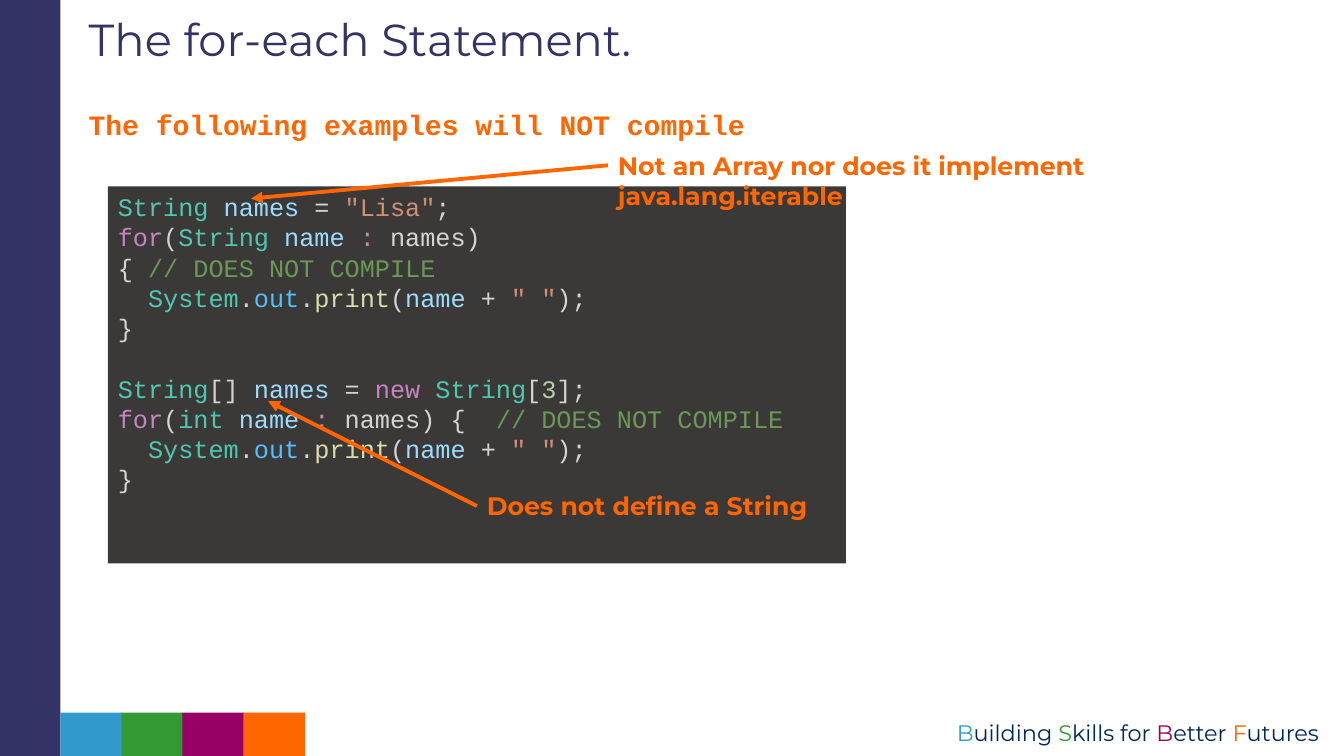
from lxml import etree
from pptx import Presentation, util as u
from pptx.dml.color import RGBColor
from pptx.enum import shapes, text
from pptx.oxml.ns import qn

NAVY, BLUE, GREEN, PURPLE, ORANGE = "333366", "3299CC", "339933", "990066", "FF6600"
INK = "002856"
SANS, MONO = "Montserrat", "Courier New"
PLAIN, TYPE, VAR, KEYWORD = "D4D4D4", "4EC9B0", "9CDCFE", "C586C0"
STRING, COMMENT, FIELD, METHOD, NUMBER = "CE9178", "6A9955", "4FC1FF", "DCDCAA", "B5CEA8"


def rgb(value):
    return RGBColor.from_string(value)


class Deck:
    def __init__(self, width, height):
        self.prs = Presentation()
        self.prs.slide_width, self.prs.slide_height = u.Inches(width), u.Inches(height)
        self.s = self.prs.slides.add_slide(self.prs.slide_layouts[5])

    def box(self, at):
        return [u.Inches(v) for v in at]

    def rect(self, at, fill):
        sp = self.s.shapes.add_shape(shapes.MSO_SHAPE.RECTANGLE, *self.box(at))
        sp.shadow.inherit = False
        sp.fill.solid()
        sp.fill.fore_color.rgb = rgb(fill)
        sp.line.fill.background()
        return sp

    def set_text(self, sp, lines, size, font, bold=False, align=text.PP_ALIGN.LEFT,
                 anchor=text.MSO_ANCHOR.TOP, spacing=None):
        tf = sp.text_frame
        tf.word_wrap = True
        tf.auto_size = text.MSO_AUTO_SIZE.NONE
        tf.vertical_anchor = anchor
        for i, runs in enumerate(lines):
            p = tf.paragraphs[0] if i == 0 else tf.add_paragraph()
            p.alignment = align
            p.line_spacing = spacing
            p.font.size, p.font.name, p.font.bold = u.Pt(size), font, bold
            for words, color in runs:
                r = p.add_run()
                r.text = words
                r.font.color.rgb = rgb(color)
        return tf

    def title(self, at, words):
        sp = self.s.shapes.title
        sp.left, sp.top, sp.width, sp.height = self.box(at)
        self.set_text(sp, [[(words, NAVY)]], 32, SANS, spacing=0.9)

    def label(self, at, runs, size=18, font=SANS, **style):
        sp = self.s.shapes.add_textbox(*self.box(at))
        return self.set_text(sp, [runs], size, font, **style)

    def arrow(self, start, end):
        cx = self.s.shapes.add_connector(shapes.MSO_CONNECTOR.STRAIGHT, *self.box(start + end))
        cx.line.color.rgb = rgb(ORANGE)
        cx.line.width = u.Pt(2.75)
        props = cx.element.spPr
        etree.SubElement(props.find(qn("a:ln")), qn("a:tailEnd"), type="triangle")
        etree.SubElement(props, qn("a:effectLst"))


deck = Deck(13.33, 7.5)
deck.rect((0, 0, 0.6, 7.5), NAVY)
for i, color in enumerate((BLUE, GREEN, PURPLE, ORANGE)):
    deck.rect((0.6 + i * 0.605, 7.07, 0.61, 0.43), color)

motto = [("B", BLUE), ("uilding ", INK), ("S", GREEN), ("kills for ", INK),
         ("B", PURPLE), ("etter ", INK), ("F", ORANGE), ("utures", INK)]
deck.label((8.36, 7.09, 4.82, 0.37), motto, 16, align=text.PP_ALIGN.RIGHT)

print_line = [("\u00a0\u00a0", PLAIN), ("System", TYPE), (".", PLAIN), ("out", FIELD),
              (".", PLAIN), ("print", METHOD), ("(", PLAIN), ("name", VAR),
              ("\u00a0+\u00a0", PLAIN), ('"\u00a0"', STRING), (");", PLAIN)]
close_line = [("}", PLAIN)]
does_not_compile = ("//\u00a0DOES\u00a0NOT\u00a0COMPILE", COMMENT)


def for_line(kind, tail):
    return [("for", KEYWORD), ("(", PLAIN), (kind + "\u00a0", TYPE),
            ("name\u00a0", VAR), (":", KEYWORD), ("\u00a0names)" + tail, PLAIN)]


string_example = [
    [("String\u00a0", TYPE), ("names", VAR), ("\u00a0=\u00a0", PLAIN),
     ('"Lisa"', STRING), (";", PLAIN)],
    for_line("String", ""),
    [("{ ", PLAIN), does_not_compile],
    print_line,
    close_line,
]
array_example = [
    [("String", TYPE), ("[]\u00a0", PLAIN), ("names", VAR), ("\u00a0=\u00a0", PLAIN),
     ("new\u00a0", KEYWORD), ("String", TYPE), ("[", PLAIN), ("3", NUMBER), ("];", PLAIN)],
    for_line("int", "\u00a0{\u00a0\u00a0") + [does_not_compile],
    print_line,
    close_line,
]
line_height = u.Pt(21.6)
panel = deck.rect((1.07, 1.85, 7.32, 3.74), "3B3838")
tf = deck.set_text(panel, string_example + array_example, 18, MONO, spacing=line_height)
tf.paragraphs[len(string_example)].space_before = line_height

tf = deck.label((0.78, 0.89, 12.39, 0.63), [("The following examples will NOT compile", ORANGE)],
                20, MONO, bold=True, anchor=text.MSO_ANCHOR.MIDDLE, spacing=1.14)
tf.paragraphs[0].space_after = u.Pt(6)
deck.title((0.78, 0.13, 10.35, 0.63), "The for-each Statement.")

callouts = [
    ((6.03, 1.44, 5.77, 0.4), "Not an Array nor does it implement java.lang.iterable",
     (6.03, 1.64), (2.49, 1.97)),
    ((4.73, 4.82, 3.66, 0.4), "Does not define a String", (4.73, 5.02), (2.66, 3.98)),
]
for at, words, start, end in callouts:
    deck.label(at, [(words, ORANGE)], bold=True)
    deck.arrow(start, end)

deck.prs.save("out.pptx")
